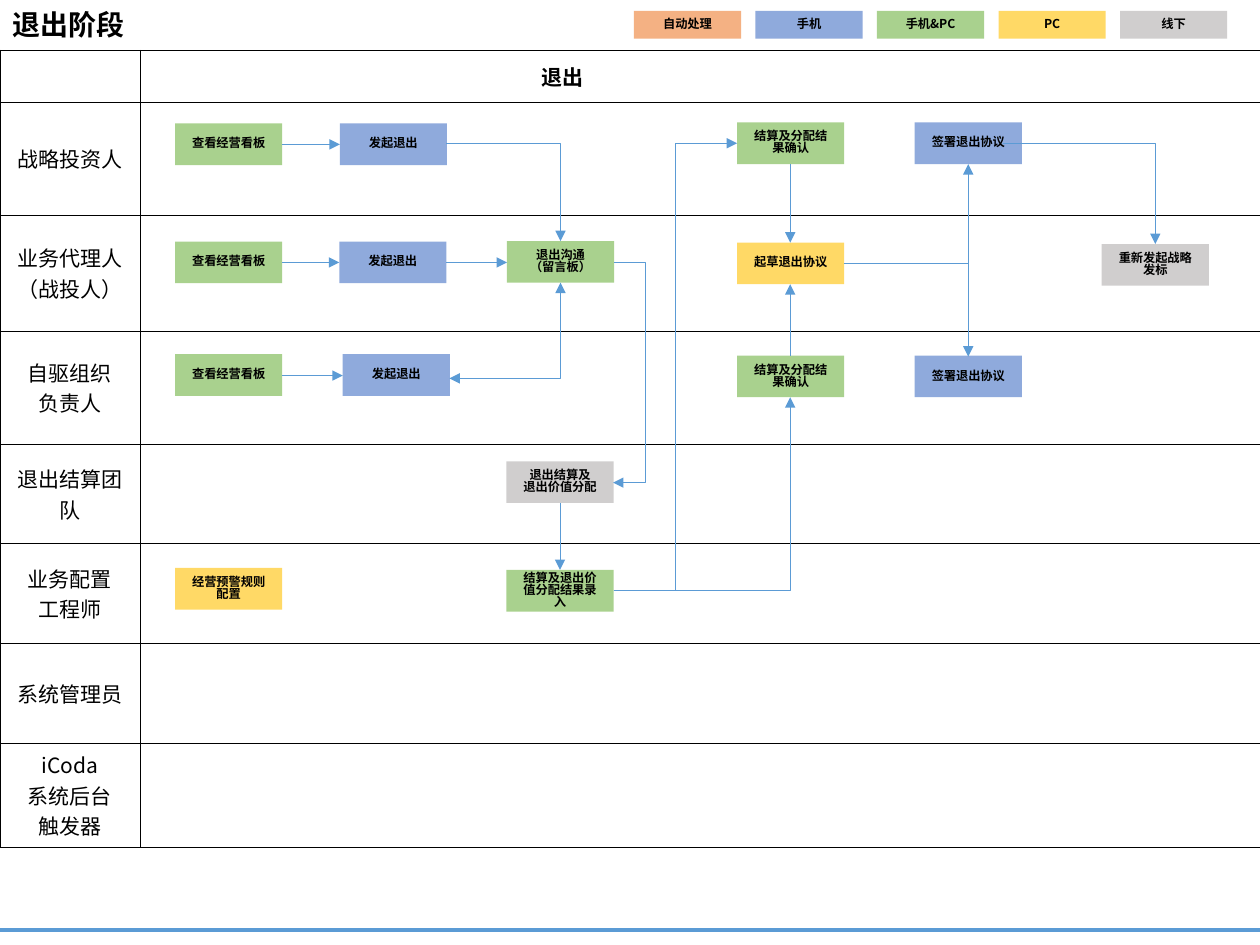
"""Build the swimlane slide of the exit stage."""
from dataclasses import dataclass

from pptx import Presentation
from pptx.dml.color import RGBColor
from pptx.enum.shapes import MSO_CONNECTOR as Connector, MSO_SHAPE as Shape
from pptx.enum.text import MSO_ANCHOR as Anchor, PP_ALIGN as Align
from pptx.oxml.ns import qn
from pptx.oxml.xmlchemy import OxmlElement as Element
from pptx.util import Cm, Pt


@dataclass(frozen=True)
class Theme:
    font: str = "Noto Sans CJK SC"
    ink: str = "000000"
    accent: str = "5B9BD5"
    auto: str = "F4B183"
    phone: str = "8FAADC"
    both: str = "A9D18E"
    desktop: str = "FFD966"
    offline: str = "D0CECE"
    title_size: float = 16
    lane_size: float = 12
    box_size: float = 7
    arrow_width: float = 0.5
    grid_width: float = 0.25
    top_width: float = 1
    frame_width: float = 2.25
    plain_table: str = "{2D5ABB26-0587-4C30-8999-92F81FD0307C}"


class SlideBuilder:
    """Draw styled elements on one slide."""

    def __init__(self, slide, theme):
        self.slide = slide
        self.theme = theme

    def format_text(self, text_frame, size, bold, align, spacing=None):
        for paragraph in text_frame.paragraphs:
            paragraph.alignment = align
            paragraph.line_spacing = spacing
            for run in paragraph.runs:
                font = run.font
                font.name, font.size, font.bold = self.theme.font, Pt(size), bold
                font.color.rgb = RGBColor.from_string(self.theme.ink)
                east_asian = Element("a:ea")
                east_asian.set("typeface", self.theme.font)
                run._r.rPr.find(qn("a:latin")).addnext(east_asian)

    def title(self, text, left, top, width, height):
        shape = self.slide.shapes.title
        shape.left, shape.top = Cm(left), Cm(top)
        shape.width, shape.height = Cm(width), Cm(height)
        shape.text_frame.text = text
        shape.text_frame.vertical_anchor = Anchor.MIDDLE
        self.format_text(shape.text_frame, self.theme.title_size, True, Align.LEFT, 0.9)

    def box(self, text, color, left, top, width=2.16, height=0.84):
        shape = self.slide.shapes.add_shape(
            Shape.RECTANGLE, Cm(left), Cm(top), Cm(width), Cm(height))
        shape.shadow.inherit = False
        shape.fill.solid()
        shape.fill.fore_color.rgb = RGBColor.from_string(color)
        shape.line.fill.background()
        shape.text_frame.text = text
        shape.text_frame.word_wrap = True
        shape.text_frame.vertical_anchor = Anchor.MIDDLE
        self.format_text(shape.text_frame, self.theme.box_size, True, Align.CENTER, 0.82)

    def table(self, left, top, columns, rows):
        frame = self.slide.shapes.add_table(
            len(rows), len(columns), Cm(left), Cm(top), Cm(sum(columns)), Cm(sum(rows)))
        table = frame.table
        table.first_row = table.horz_banding = False
        table._tbl.tblPr.find(qn("a:tableStyleId")).text = self.theme.plain_table
        for column, width in zip(table.columns, columns):
            column.width = Cm(width)
        for row, height in zip(table.rows, rows):
            row.height = Cm(height)
        for cell in table.iter_cells():
            cell.fill.background()
            cell.vertical_anchor = Anchor.MIDDLE
        return table

    def borders(self, cell, widths, color):
        properties = cell._tc.get_or_add_tcPr()
        for position, (side, width) in enumerate(widths.items()):
            line = Element(f"a:ln{side}")
            line.set("w", str(Pt(width)))
            fill, shade = Element("a:solidFill"), Element("a:srgbClr")
            shade.set("val", color)
            fill.append(shade)
            line.append(fill)
            properties.insert(position, line)

    def cell_text(self, cell, text, bold, align):
        cell.text_frame.text = text
        self.format_text(cell.text_frame, self.theme.lane_size, bold, align)

    def arrow(self, start, end, kind=Connector.STRAIGHT, ends=("tailEnd",)):
        connector = self.slide.shapes.add_connector(
            kind, *(Cm(value) for value in (*start, *end)))
        connector.line.color.rgb = RGBColor.from_string(self.theme.accent)
        connector.line.width = Pt(self.theme.arrow_width)
        properties = connector._element.spPr
        for name in ends:
            head = Element(f"a:{name}")
            head.set("type", "triangle")
            properties.find(qn("a:ln")).append(head)
        properties.append(Element("a:effectLst"))
        return properties.find(qn("a:prstGeom"))

    def corner_arrow(self, start, end, ends=("tailEnd",)):
        self.arrow(start, end, Connector.ELBOW, ends).set("prst", "bentConnector2")

    def step_arrow(self, start, end, bend):
        geometry = self.arrow(start, end, Connector.ELBOW)
        ratio = (bend - start[0]) / (end[0] - start[0])
        guide = Element("a:gd")
        guide.set("name", "adj1")
        guide.set("fmla", f"val {round(ratio * 100000)}")
        geometry.find(qn("a:avLst")).append(guide)


def add_lanes(builder):
    theme = builder.theme
    frame = builder.table(-0.04, 1.02, [25.47], [17.73])
    builder.borders(frame.cell(0, 0), dict.fromkeys("RB", theme.frame_width), theme.accent)

    lanes = ["战略投资人", "业务代理人\n（战投人）", "自驱组织\n负责人", "退出结算团队",
             "业务配置\n工程师", "系统管理员", "iCoda\n系统后台\n触发器"]
    heights = [0.86, 2.28, 2.34, 2.28] + [2.01] * 3 + [2.1]
    table = builder.table(0, 1.02, [2.82, 22.58], heights)
    header = table.cell(0, 1)
    header.margin_left = Cm(8.1)
    builder.cell_text(header, "退出", True, Align.LEFT)
    for row, lane in enumerate(lanes, 1):
        builder.cell_text(table.cell(row, 0), lane, False, Align.CENTER)
    for row in range(len(heights)):
        for column, sides in enumerate(("LRTB", "LTB")):
            widths = dict.fromkeys(sides, theme.grid_width)
            if row == 0:
                widths["T"] = theme.top_width
            builder.borders(table.cell(row, column), widths, theme.ink)


def add_legend(builder):
    theme = builder.theme
    entries = [("自动处理", theme.auto), ("手机", theme.phone), ("手机&PC", theme.both),
               ("PC", theme.desktop), ("线下", theme.offline)]
    for index, (text, color) in enumerate(entries):
        builder.box(text, color, 12.78 + 2.45 * index, 0.22, height=0.56)


def add_steps(builder):
    theme = builder.theme
    for top, left in ((2.49, 6.85), (4.87, 6.84), (7.14, 6.91)):
        builder.box("查看经营看板", theme.both, 3.53, top)
        builder.box("发起退出", theme.phone, left, top)
    for top in (2.47, 7.17):
        builder.box("结算及分配结果确认", theme.both, 14.86, top)
        builder.box("签署退出协议", theme.phone, 18.44, top)
    for text, color, left, top in (
            ("退出沟通\n（留言板）", theme.both, 10.22, 4.86),
            ("退出结算及\n退出价值分配", theme.offline, 10.21, 9.3),
            ("结算及退出价值分配结果录入", theme.both, 10.21, 11.49),
            ("起草退出协议", theme.desktop, 14.86, 4.89),
            ("重新发起战略发标", theme.offline, 22.21, 4.92),
            ("经营预警规则配置", theme.desktop, 3.53, 11.45)):
        builder.box(text, color, left, top)


def add_flow(builder):
    for start, end in (
            ((5.69, 2.91), (6.85, 2.91)), ((5.69, 5.29), (6.84, 5.29)),
            ((5.69, 7.57), (6.91, 7.57)), ((9, 5.29), (10.22, 5.29)),
            ((15.93, 3.31), (15.93, 4.89)), ((15.93, 7.17), (15.93, 5.73)),
            ((11.29, 10.14), (11.29, 11.49))):
        builder.arrow(start, end)
    for start, end in (
            ((9, 2.9), (11.3, 4.86)), ((12.37, 11.91), (15.93, 8.01)),
            ((17.01, 5.31), (19.52, 7.19)), ((17.01, 5.31), (19.52, 3.31)),
            ((20.22, 2.89), (23.29, 4.92))):
        builder.corner_arrow(start, end)
    builder.corner_arrow((9.06, 7.63), (11.3, 5.7), ("headEnd", "tailEnd"))
    builder.step_arrow((12.38, 5.29), (12.36, 9.73), 13.01)
    builder.step_arrow((12.37, 11.91), (14.86, 2.89), 13.62)


def main():
    presentation = Presentation()
    presentation.slide_width, presentation.slide_height = Cm(25.4), Cm(19.05)
    slide = presentation.slides.add_slide(presentation.slide_layouts[5])
    builder = SlideBuilder(slide, Theme())
    builder.title("退出阶段", 0, 0.03, 5.31, 0.99)
    for add_part in (add_lanes, add_legend, add_steps, add_flow):
        add_part(builder)
    presentation.save("out.pptx")


if __name__ == "__main__":
    main()
